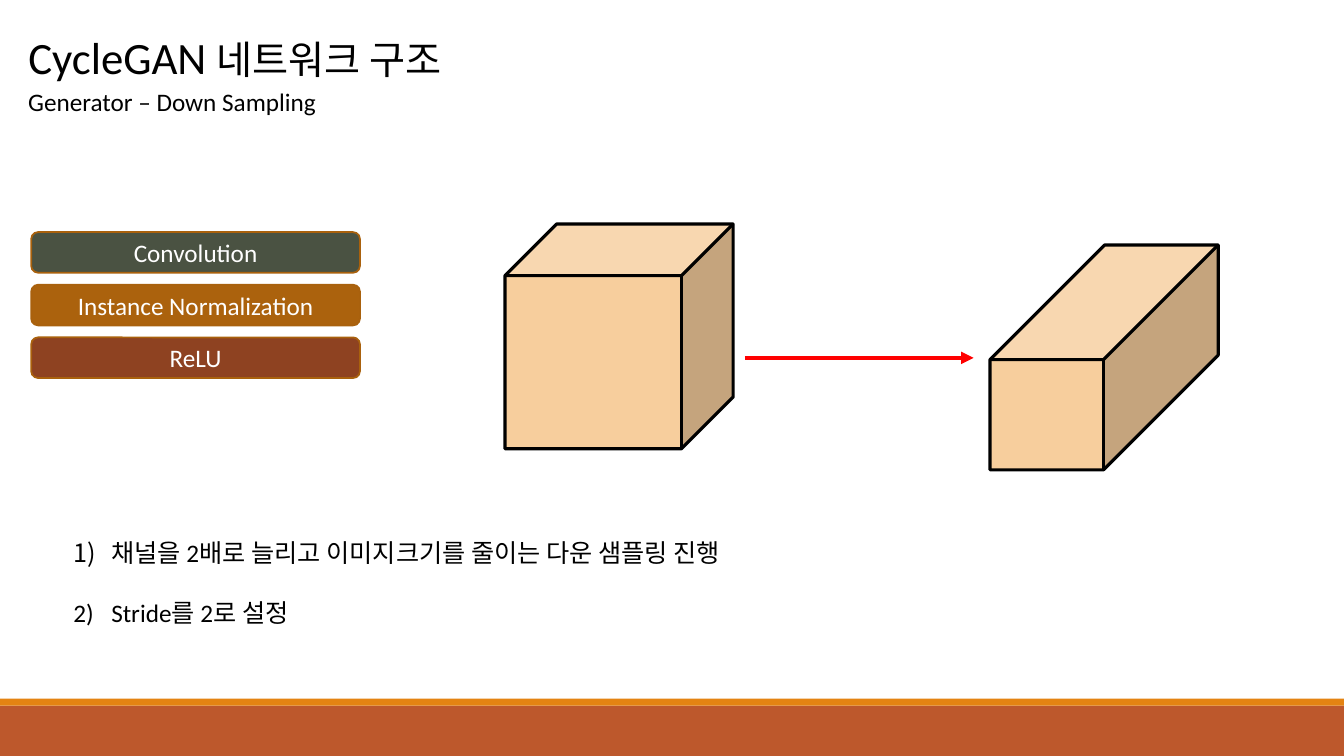
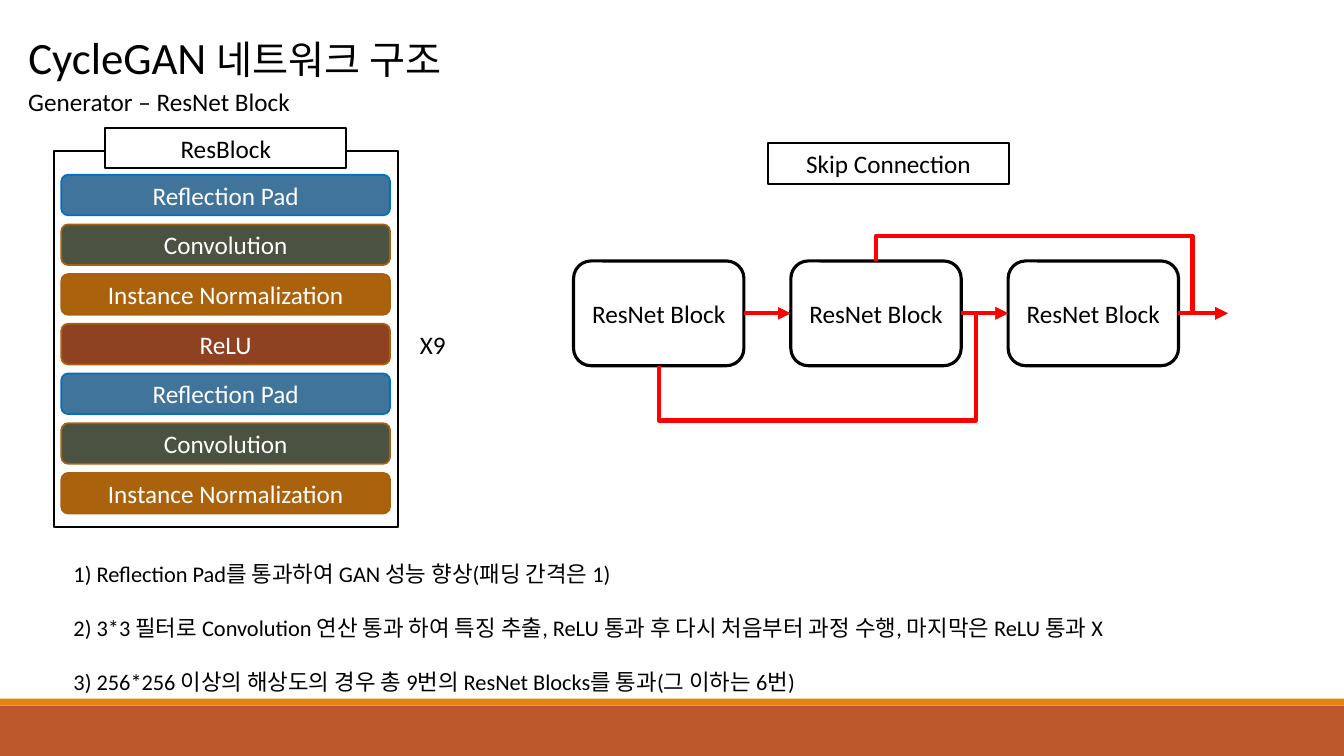
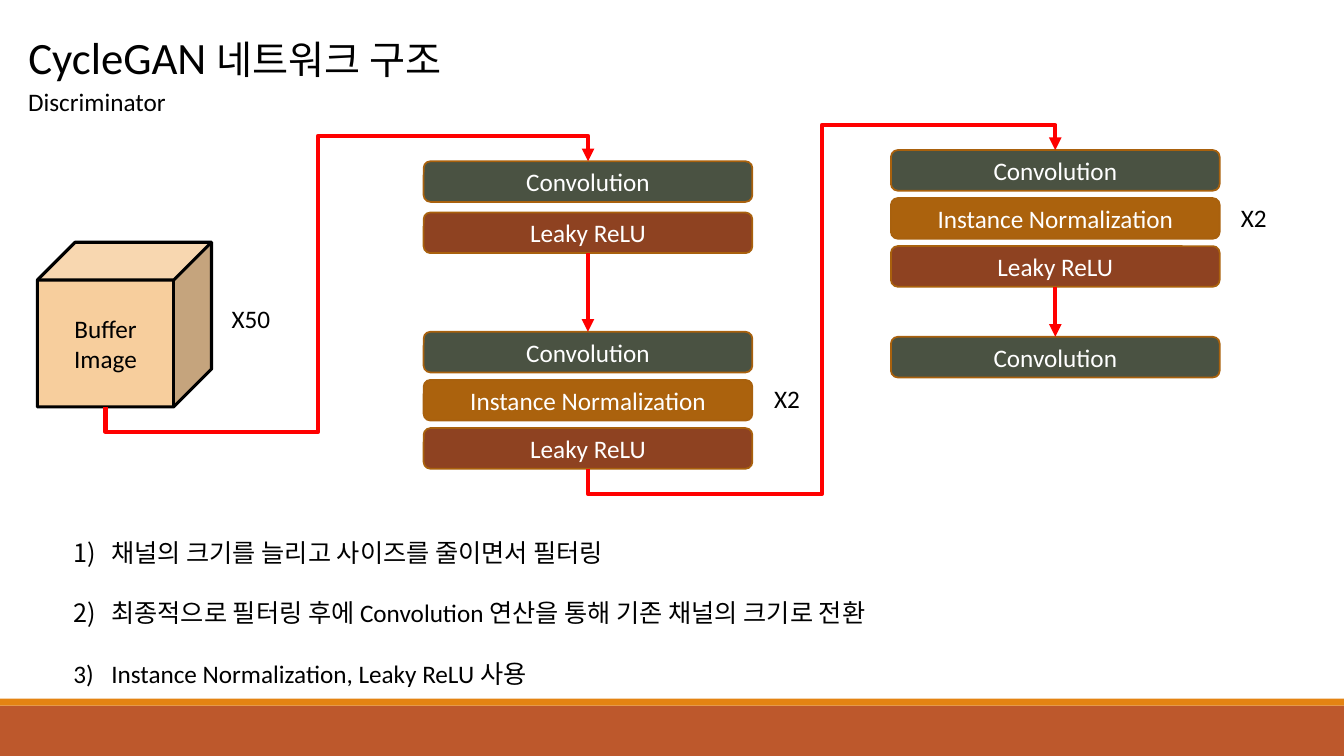
from collections import namedtuple

from lxml import etree
from pptx import Presentation
from pptx.dml import color
from pptx.enum import shapes, text
from pptx.oxml import ns
from pptx.util import Pt

COLOURS = {
    "ink": "000000",
    "paper": "FFFFFF",
    "footer": "BD582C",
    "stripe": "E48312",
    "arrow": "FF0000",
    "cube": "F7CE9D",
    "block_edge": "A9610D",
    "pad_edge": "0070C0",
    "convolution": "4A5242",
    "normalization": "AB620D",
    "relu": "8E4221",
    "pad": "40749B",
}
BLOCKS = {
    "Convolution": ("convolution", "block_edge"),
    "Instance Normalization": ("normalization", "block_edge"),
    "ReLU": ("relu", "block_edge"),
    "Leaky ReLU": ("relu", "block_edge"),
    "Reflection Pad": ("pad", "pad_edge"),
}
FONT = "Calibri"
BODY_SIZE = 18
WIDTH, HEIGHT = 960, 540
BLOCK_WIDTH, BLOCK_HEIGHT = 234.8, 29
TOP, LEFT, BOTTOM, RIGHT = range(4)
SITES = {TOP: (0.5, 0), LEFT: (0, 0.5), BOTTOM: (0.5, 1), RIGHT: (1, 0.5)}
CUBE_BOTTOM = 3
SHAPE = shapes.MSO_SHAPE
FRAME_FORMAT = {
    "word_wrap": True,
    "auto_size": text.MSO_AUTO_SIZE.NONE,
    "margin_left": Pt(7.2),
    "margin_right": Pt(7.2),
    "margin_top": Pt(3.6),
    "margin_bottom": Pt(3.6),
}

Joint = namedtuple("Joint", "x y shape site", defaults=(None, None))


def rgb(name):
    return color.RGBColor.from_string(COLOURS[name])


def apply(target, values):
    for name, value in values.items():
        setattr(target, name, value)


def add_run(paragraph, content, size=BODY_SIZE, ink="ink"):
    run = paragraph.add_run()
    run.text = content
    apply(run.font, {"name": FONT, "size": Pt(size), "bold": False})
    run.font.color.rgb = rgb(ink)


def write(frame, lines, size=BODY_SIZE, ink="ink", anchor=text.MSO_ANCHOR.TOP,
          align=text.PP_ALIGN.LEFT, gap=0):
    apply(frame, FRAME_FORMAT | {"vertical_anchor": anchor})
    for index, line in enumerate(lines):
        paragraph = frame.add_paragraph() if index else frame.paragraphs[0]
        apply(paragraph, {"alignment": align, "space_before": Pt(gap if index else 0)})
        add_run(paragraph, line, size, ink)


def add_box(slide, kind, box, fill=None, line=None, weight=1.25, lines=(), ink="ink"):
    shape = slide.shapes.add_shape(kind, *map(Pt, box))
    shape.shadow.inherit = False
    if fill:
        shape.fill.solid()
        shape.fill.fore_color.rgb = rgb(fill)
    else:
        shape.fill.background()
    if line:
        shape.line.color.rgb = rgb(line)
        shape.line.width = Pt(weight)
    else:
        shape.line.fill.background()
    if lines:
        write(shape.text_frame, lines, ink=ink, anchor=text.MSO_ANCHOR.MIDDLE,
              align=text.PP_ALIGN.CENTER)
    return shape


def add_text(slide, box, lines, size=BODY_SIZE, gap=0):
    shape = slide.shapes.add_textbox(*map(Pt, box))
    write(shape.text_frame, lines, size, gap=gap)
    return shape


def add_label(slide, left, top, label):
    add_text(slide, (left, top, 48, BLOCK_HEIGHT), [label])


def add_caption_box(slide, left, top, caption):
    add_box(slide, SHAPE.RECTANGLE, (left, top, 172, BLOCK_HEIGHT),
            "paper", "ink", 1.5, [caption])


def add_notes_list(slide, top, lines, size=BODY_SIZE, numbered=True):
    shape = add_text(slide, (45.4, top, 869, 105), lines, size, size * 1.2)
    if numbered:
        for paragraph in shape.text_frame.paragraphs:
            properties = paragraph.runs[0].font and paragraph._p.get_or_add_pPr()
            properties.set("marL", str(Pt(27)))
            properties.set("indent", str(-Pt(27)))
            etree.SubElement(properties, ns.qn("a:buFont"), typeface="+mj-lt")
            etree.SubElement(properties, ns.qn("a:buAutoNum"), type="arabicParenR")


def add_stack(slide, left, top, names, pitch=BLOCK_HEIGHT):
    stack = []
    for index, name in enumerate(names):
        fill, edge = BLOCKS[name]
        box = (left, top + index * pitch, BLOCK_WIDTH, BLOCK_HEIGHT)
        stack.append(add_box(slide, SHAPE.ROUNDED_RECTANGLE, box, fill, edge,
                             lines=[name], ink="paper"))
    return stack


def add_cube(slide, box, depth, lines=()):
    cube = add_box(slide, SHAPE.CUBE, box, "cube", "ink", 2.25, lines)
    cube.adjustments[0] = depth
    return cube


def side(shape, site):
    across, down = SITES[site]
    return Joint(shape.left.pt + across * shape.width.pt,
                 shape.top.pt + down * shape.height.pt, shape, site)


def add_arrow(slide, start, end, kind=shapes.MSO_CONNECTOR.STRAIGHT):
    points = map(Pt, (start.x, start.y, end.x, end.y))
    arrow = slide.shapes.add_connector(kind, *points)
    if start.shape is not None:
        arrow.begin_connect(start.shape, start.site)
    if end.shape is not None:
        arrow.end_connect(end.shape, end.site)
    arrow.line.color.rgb = rgb("arrow")
    arrow.line.width = Pt(3)
    etree.SubElement(arrow.line._get_or_add_ln(), ns.qn("a:tailEnd"), type="triangle")
    etree.SubElement(arrow.element.spPr, ns.qn("a:effectLst"))
    return arrow


def add_elbow(slide, start, end, bends):
    arrow = add_arrow(slide, start, end, shapes.MSO_CONNECTOR.ELBOW)
    across, down = end.x - start.x, end.y - start.y
    length, breadth = abs(down), abs(across)
    apply(arrow, {
        "left": Pt((start.x + end.x - length) / 2),
        "top": Pt((start.y + end.y - breadth) / 2),
        "width": Pt(length),
        "height": Pt(breadth),
    })
    rising = down < 0
    frame = arrow.element.spPr.find(ns.qn("a:xfrm"))
    frame.set("rot", str((90 if rising else 270) * 60000))
    frame.set("flipH", "1")
    frame.set("flipV", "1" if rising else "0")
    geometry = arrow.element.spPr.find(ns.qn("a:prstGeom"))
    geometry.set("prst", f"bentConnector{len(bends) + 2}")
    guides = geometry.find(ns.qn("a:avLst"))
    for index, bend in enumerate(bends):
        share = (bend - start.x) / across if index % 2 else (bend - start.y) / down
        etree.SubElement(guides, ns.qn("a:gd"), name=f"adj{index + 1}",
                         fmla=f"val {round(share * 100000)}")


def add_bands(presentation, slide):
    tree = presentation.slide_master.element.cSld.spTree
    bands = [("footer", (0, 504, WIDTH, 36)), ("stripe", (0, 499, WIDTH, 5))]
    for index, (fill, box) in enumerate(bands):
        band = add_box(slide, SHAPE.RECTANGLE, box, fill)
        tree.insert(2 + index, band.element)


def add_slide(presentation, subtitle):
    slide = presentation.slides.add_slide(presentation.slide_layouts[5])
    title = slide.shapes.title
    apply(title, dict(zip(("left", "top", "width", "height"),
                          map(Pt, (13, 17.3, 602, 46)))))
    write(title.text_frame, ["CycleGAN "], 32)
    add_run(title.text_frame.paragraphs[0], "네트워크 구조", 28)
    add_text(slide, (13, 58.3, 467, BLOCK_HEIGHT), [subtitle])
    return slide


def build_down_sampling(slide):
    add_stack(slide, 22.3, 165.8, ["Convolution", "Instance Normalization", "ReLU"], 37.6)
    add_cube(slide, (360.7, 160, 163, 160.6), 0.23)
    add_cube(slide, (707.2, 175, 163, 160.6), 0.51)
    add_arrow(slide, Joint(532, 255.6), Joint(695.5, 255.6))
    add_notes_list(slide, 380.2, [
        "채널을 2배로 늘리고 이미지크기를 줄이는 다운 샘플링 진행",
        "Stride를 2로 설정",
    ])


def build_res_block(slide, left, top):
    add_box(slide, SHAPE.RECTANGLE, (left, top, 245.5, 268.5), None, "ink", 1.5)
    add_caption_box(slide, left + 36.5, top - 16.8, "ResBlock")
    add_stack(slide, left + 5, top + 16.8, [
        "Reflection Pad", "Convolution", "Instance Normalization", "ReLU",
        "Reflection Pad", "Convolution", "Instance Normalization",
    ], 35.5)
    add_label(slide, left + 254, top + 124, "X9")


def build_skip_connection(slide, left, top):
    add_caption_box(slide, left + 139, top - 84.2, "Skip Connection")
    blocks = [
        add_box(slide, SHAPE.ROUNDED_RECTANGLE, (left + index * 155.2, top, 121.7, 74.8),
                None, "ink", 2.25, ["ResNet Block"])
        for index in range(3)
    ]
    first, second, third = blocks
    output = Joint(left + 467.3, top + 37.4)
    add_elbow(slide, side(first, BOTTOM), side(third, LEFT), [top + 114, left + 287.3])
    add_arrow(slide, side(first, RIGHT), side(second, LEFT))
    add_arrow(slide, side(second, RIGHT), side(third, LEFT))
    add_arrow(slide, side(third, RIGHT), output)
    add_elbow(slide, side(second, TOP), output, [top - 18, left + 442.3])


def build_resnet(slide):
    build_res_block(slide, 38.8, 108)
    build_skip_connection(slide, 409.7, 186.4)
    add_notes_list(slide, 396.7, [
        "1) Reflection Pad를 통과하여 GAN 성능 향상(패딩 간격은 1)",
        "2) 3*3 필터로 Convolution 연산 통과 하여 특징 추출, ReLU 통과 후 다시 처음부터 "
        "과정 수행, 마지막은 ReLU 통과 X",
        "3) 256*256 이상의 해상도의 경우 총 9번의 ResNet Blocks를 통과(그 이하는 6번)",
    ], 16, numbered=False)


def build_discriminator(slide):
    repeated = ["Convolution", "Instance Normalization", "Leaky ReLU"]
    middle, right = 302.6, 636.4
    cube = add_cube(slide, (26.7, 173, 124.4, 117.6), 0.23, ["Buffer", "Image"])
    add_label(slide, 158.4, 213.2, "X50")
    entry = add_stack(slide, middle, 115.2, ["Convolution", "Leaky ReLU"], 36.6)
    lower = add_stack(slide, middle, 237, repeated, 34.4)
    upper = add_stack(slide, right, 107.2, repeated, 34.3)
    final = add_stack(slide, right, 240.6, ["Convolution"])
    add_label(slide, 545.8, 270.2, "X2")
    add_label(slide, 879.2, 141.3, "X2")
    cube_exit = Joint(75.4, 290.6, cube, CUBE_BOTTOM)
    add_elbow(slide, cube_exit, side(entry[0], TOP), [308.6, 227, 97.2])
    add_arrow(slide, side(entry[-1], BOTTOM), side(lower[0], TOP))
    add_elbow(slide, side(lower[-1], BOTTOM), side(upper[0], TOP), [352.8, 587.2, 89.2])
    add_arrow(slide, side(upper[-1], BOTTOM), side(final[0], TOP))
    add_notes_list(slide, 380.2, [
        "채널의 크기를 늘리고 사이즈를 줄이면서 필터링",
        "최종적으로 필터링 후에 Convolution 연산을 통해 기존 채널의 크기로 전환",
        "Instance Normalization, Leaky ReLU 사용",
    ])


def main():
    presentation = Presentation()
    apply(presentation, {"slide_width": Pt(WIDTH), "slide_height": Pt(HEIGHT)})
    pages = [
        ("Generator – Down Sampling", build_down_sampling),
        ("Generator – ResNet Block", build_resnet),
        ("Discriminator", build_discriminator),
    ]
    for subtitle, build in pages:
        build(add_slide(presentation, subtitle))
    add_bands(presentation, presentation.slides[0])
    presentation.save("out.pptx")


if __name__ == "__main__":
    main()
